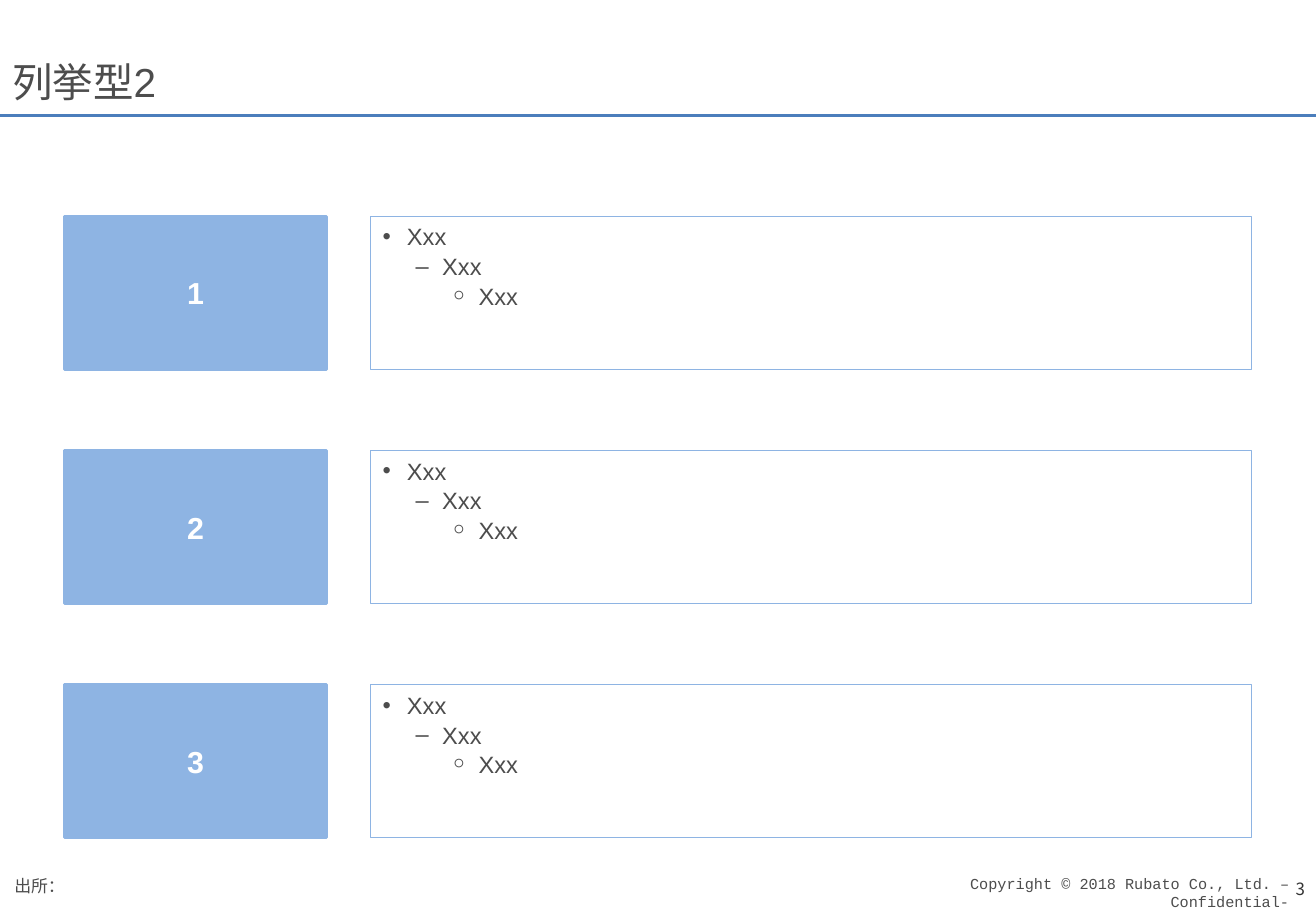
from dataclasses import dataclass

from lxml import etree
from pptx import Presentation
from pptx.dml.color import RGBColor
from pptx.enum import shapes, text
from pptx.oxml import ns
from pptx.util import Pt

BLUE = RGBColor(0x8E, 0xB4, 0xE3)
RULE = RGBColor(0x4B, 0x7E, 0xBC)
GRAY = RGBColor(0x4D, 0x4D, 0x4D)
DARK = RGBColor(0x33, 0x33, 0x33)
WHITE = RGBColor(0xFF, 0xFF, 0xFF)

WIDTH, HEIGHT = 780, 540
TOP, PITCH, TALL = 128.2, 138.8, 90.7

LEFT = text.PP_ALIGN.LEFT
RIGHT = text.PP_ALIGN.RIGHT
MIDDLE = text.MSO_ANCHOR.MIDDLE
BOTTOM = text.MSO_ANCHOR.BOTTOM


@dataclass
class Box:
    x: float
    y: float
    w: float
    h: float


@dataclass
class Style:
    size: float
    color: RGBColor = GRAY
    face: str = "Arial"
    bold: bool = False


@dataclass
class Bullet:
    mark: str
    left: float
    hang: float
    before: float


@dataclass
class Note:
    words: str
    box: Box
    style: Style
    align: text.PP_ALIGN
    anchor: text.MSO_ANCHOR = MIDDLE
    grow: bool = False


BULLETS = [
    Bullet("•", 14.4, 14.4, 0),
    Bullet("–", 35.3, 15.8, 0.8),
    Bullet("￮", 56.9, 15.1, 0.8),
]
NOTES = [
    Note("Copyright © 2018 Rubato Co., Ltd. –Confidential-",
         Box(519.1, 525.6, 252, 14.4), Style(9, face="Courier New"),
         RIGHT, BOTTOM, True),
    Note("出所：", Box(1.4, 510.5, 546.5, 28.8),
         Style(10, face="Courier New"), LEFT),
    Note("3", Box(598.3, 512.6, 182.2, 28.8),
         Style(10, DARK, "Noto Sans CJK JP"), RIGHT),
]


def place(shape, box: Box) -> None:
    shape.left, shape.top = Pt(box.x), Pt(box.y)
    shape.width, shape.height = Pt(box.w), Pt(box.h)


def paint(shape, fill: RGBColor, width: float) -> None:
    shape.fill.solid()
    shape.fill.fore_color.rgb = fill
    shape.line.color.rgb = BLUE
    shape.line.width = Pt(width)


def setup(frame, anchor: text.MSO_ANCHOR) -> None:
    frame.word_wrap = True
    frame.auto_size = text.MSO_AUTO_SIZE.NONE
    frame.vertical_anchor = anchor


def write(para, words: str, style: Style, align: text.PP_ALIGN) -> None:
    para.alignment = align
    run = para.add_run()
    run.text = words
    run.font.name = style.face
    run.font.size = Pt(style.size)
    run.font.bold = style.bold
    run.font.color.rgb = style.color


def mark(para, bullet: Bullet) -> None:
    """Give a paragraph its bullet and hanging indent."""
    props = para._p.get_or_add_pPr()
    props.set("marL", str(Pt(bullet.left)))
    props.set("indent", str(-Pt(bullet.hang)))
    etree.SubElement(props, ns.qn("a:buFont"), typeface="Arial")
    etree.SubElement(props, ns.qn("a:buChar"), char=bullet.mark)


def add_rule(slide) -> None:
    y = Pt(68.4)
    rule = slide.shapes.add_connector(
        shapes.MSO_CONNECTOR.STRAIGHT, 0, y, Pt(WIDTH), y)
    rule.line.color.rgb = RULE
    rule.line.width = Pt(2.25)
    etree.SubElement(rule._element.spPr, ns.qn("a:effectLst"))


def add_note(slide, note: Note) -> None:
    shape = slide.shapes.add_textbox(0, 0, 0, 0)
    place(shape, note.box)
    frame = shape.text_frame
    setup(frame, note.anchor)
    if note.grow:
        frame.auto_size = text.MSO_AUTO_SIZE.SHAPE_TO_FIT_TEXT
        frame.margin_bottom = 0
    write(frame.paragraphs[0], note.words, note.style, note.align)


def add_label(slide, words: str, box: Box) -> None:
    shape = slide.shapes.add_shape(shapes.MSO_SHAPE.RECTANGLE, 0, 0, 0, 0)
    place(shape, box)
    shape.shadow.inherit = False
    paint(shape, BLUE, 2)
    frame = shape.text_frame
    setup(frame, MIDDLE)
    frame.margin_left = frame.margin_right = 0
    write(frame.paragraphs[0], words, Style(18, WHITE, bold=True),
          text.PP_ALIGN.CENTER)


def fill_list(body, box: Box) -> None:
    place(body, box)
    paint(body, WHITE, 0.75)
    frame = body.text_frame
    setup(frame, text.MSO_ANCHOR.TOP)
    for level, bullet in enumerate(BULLETS):
        para = frame.add_paragraph() if level else frame.paragraphs[0]
        para.level = level
        mark(para, bullet)
        para.space_before = Pt(bullet.before)
        write(para, "Xxx", Style(14), LEFT)


def main() -> None:
    deck = Presentation()
    deck.slide_width, deck.slide_height = Pt(WIDTH), Pt(HEIGHT)
    # The comparison layout has a title and four bodies; three are used.
    slide = deck.slides.add_slide(deck.slide_layouts[4])
    title, *bodies, spare = slide.placeholders
    spare._element.getparent().remove(spare._element)

    add_rule(slide)
    place(title, Box(0, 0, 709.2, 66.2))
    setup(title.text_frame, BOTTOM)
    write(title.text_frame.paragraphs[0], "列挙型2", Style(24), LEFT)
    for row, body in enumerate(bodies):
        y = TOP + row * PITCH
        add_label(slide, str(row + 1), Box(38.2, y, 155.5, TALL))
        fill_list(body, Box(219.6, y, 522, TALL))
    for note in NOTES:
        add_note(slide, note)
    deck.save("out.pptx")


if __name__ == "__main__":
    main()
